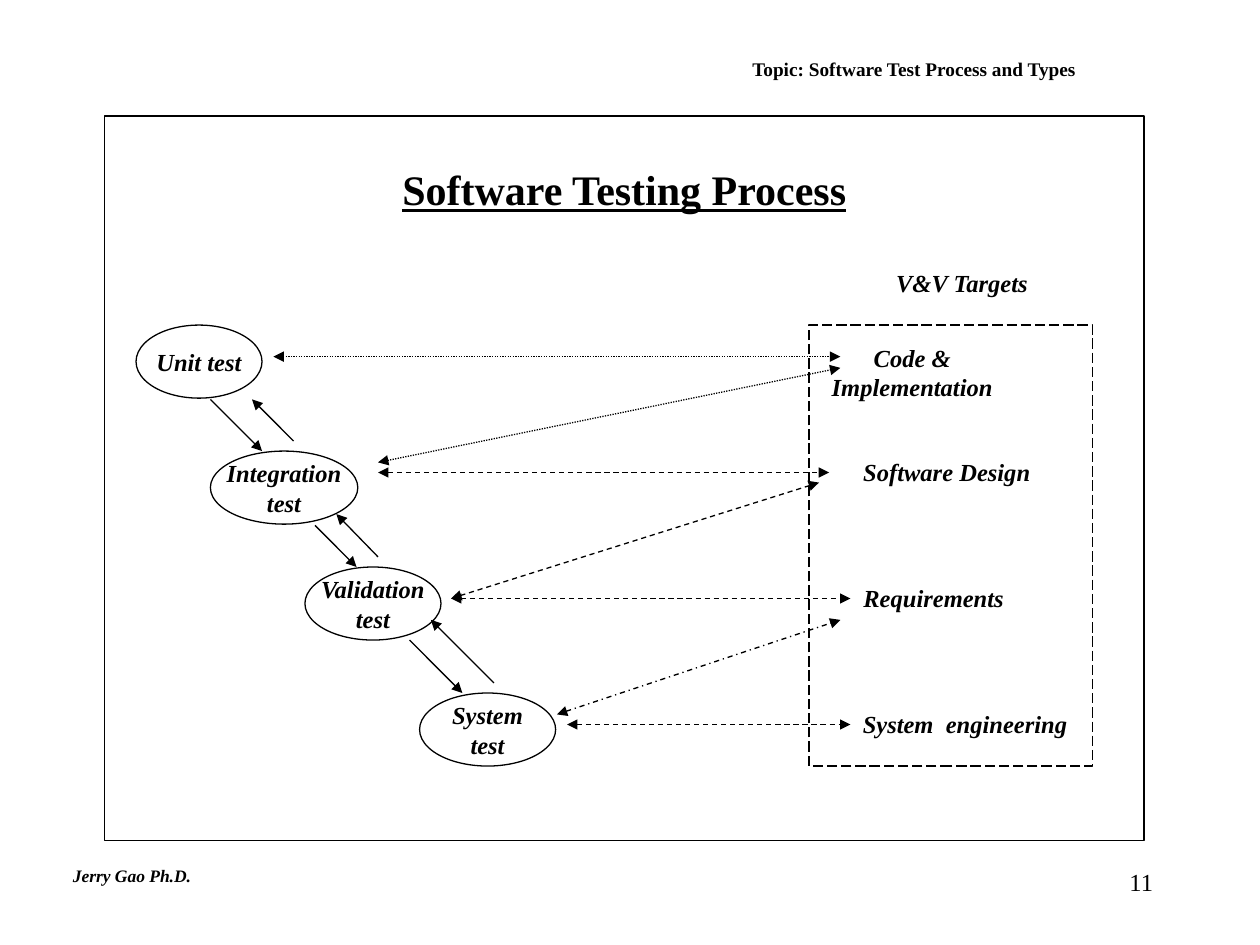
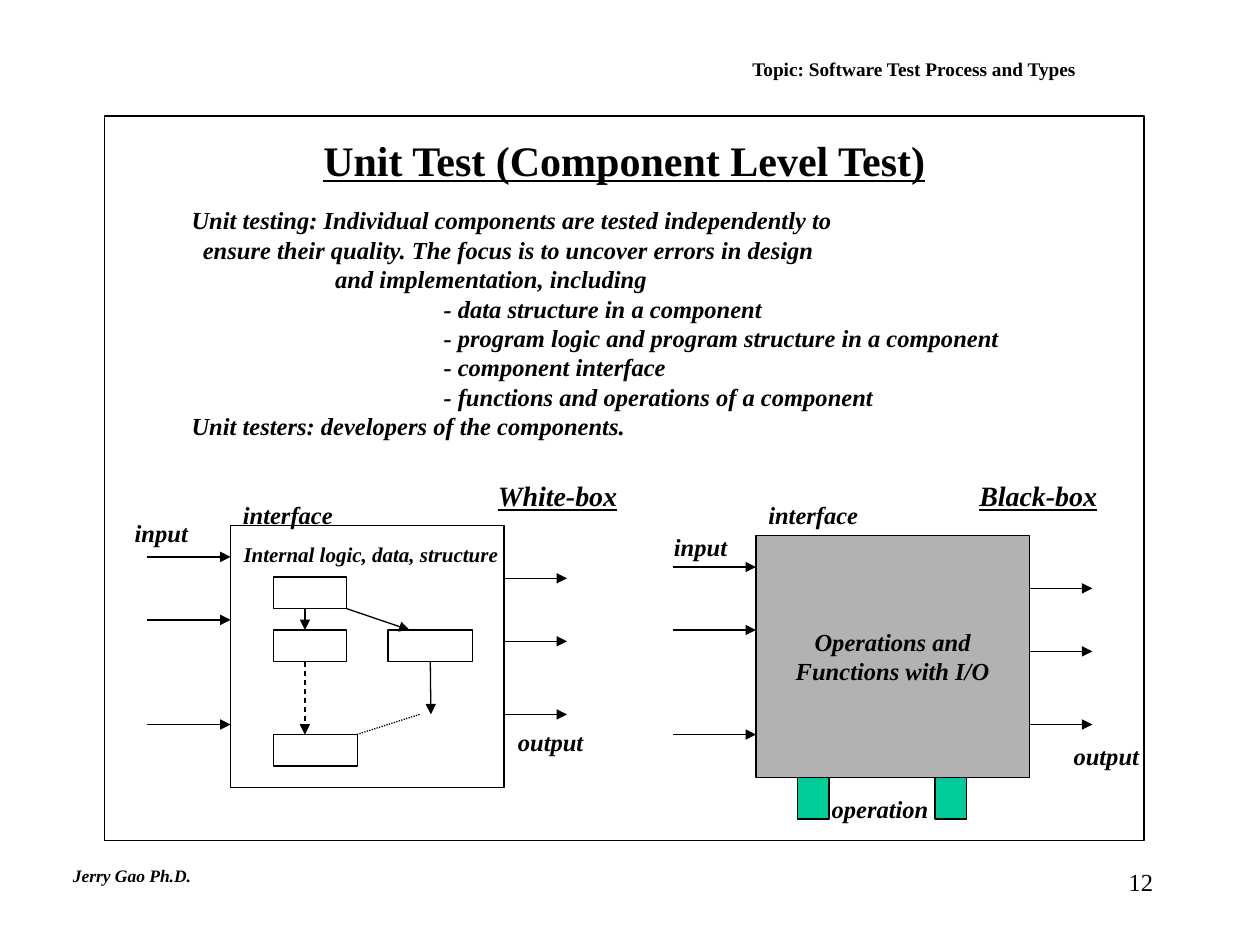
from pptx import Presentation
from pptx.dml.color import RGBColor
from pptx.enum.dml import MSO_LINE
from pptx.enum.shapes import MSO_CONNECTOR, MSO_SHAPE
from pptx.enum.text import MSO_ANCHOR, MSO_AUTO_SIZE, PP_ALIGN
from pptx.oxml.ns import qn
from pptx.util import Inches, Pt
from lxml.etree import SubElement

THEME = {
    "font": "Times New Roman",
    "line": 0.75,
    "colors": {"ink": "000000", "paper": "FFFFFF", "gray": "B2B2B2", "green": "00CC99"},
    "styles": {
        "title": {"size": Pt(24), "bold": True, "italic": False, "underline": True},
        "topic": {"size": Pt(11), "bold": True},
        "author": {"size": Pt(10), "bold": True, "italic": True},
        "number": {"size": Pt(14)},
        "label": {"size": Pt(14), "bold": True, "italic": True},
        "small": {"size": Pt(12), "bold": True, "italic": True},
        "heading": {"size": Pt(16), "bold": True, "italic": True, "underline": True},
    },
}
DASHES = {"dash": MSO_LINE.DASH, "dot": MSO_LINE.ROUND_DOT,
          "dash_dot": MSO_LINE.DASH_DOT, "long": MSO_LINE.LONG_DASH}
LEFT, CENTER, RIGHT = PP_ALIGN.LEFT, PP_ALIGN.CENTER, PP_ALIGN.RIGHT

# Shared by both slides
TOPIC = "Topic: Software Test Process and Types"
AUTHOR = "Jerry Gao Ph.D."
FRAME = (0.83, 0.92, 8.25, 5.75)

# Slide 1: boxes are left, top, width, height; arrows are start, end
STAGES = [
    ("Unit test", (1.08, 2.58, 1, 0.58)),
    ("Integration\ntest", (1.67, 3.58, 1.17, 0.58)),
    ("Validation\ntest", (2.42, 4.5, 1.08, 0.58)),
    ("System\ntest", (3.33, 5.5, 1.08, 0.58)),
]
STAGE_ARROWS = [
    ((1.67, 3.17), (2.08, 3.58)), ((2.5, 4.17), (2.83, 4.5)),
    ((3.25, 5.08), (3.67, 5.5)), ((2.33, 3.5), (2, 3.17)),
    ((3, 4.42), (2.67, 4.08)), ((3.92, 5.42), (3.42, 4.92)),
]
TARGET_AREA = (6.42, 2.58, 2.25, 3.5)
TARGETS = [
    ("V&V Targets", (7, 2.08, 1.27, 0.33)),
    ("Code &\nImplementation", (6.5, 2.67, 1.48, 0.57)),
    ("Software Design", (6.75, 3.58, 1.53, 0.33)),
    ("Requirements", (6.75, 4.58, 1.32, 0.33)),
    ("System  engineering", (6.75, 5.58, 1.82, 0.33)),
]
TARGET_ARROWS = [
    ((2.17, 2.83), (6.67, 2.83), "dot"), ((3, 3.67), (6.67, 2.92), "dot"),
    ((3, 3.75), (6.58, 3.75), "dash"), ((3.58, 4.75), (6.5, 3.83), "dash"),
    ((3.58, 4.75), (6.75, 4.75), "dash"), ((4.42, 5.67), (6.67, 4.92), "dash_dot"),
    ((4.5, 5.75), (6.75, 5.75), "dash"),
]

# Slide 2: text with its indent
BODY = [
    ("Unit testing: Individual components are tested independently to", 0),
    ("ensure their quality. The focus is to uncover errors in design", 0.09),
    ("and implementation, including", 1.14),
    ("- data structure in a component", 2),
    ("- program logic and program structure in a component", 2),
    ("- component interface", 2),
    ("- functions and operations of a component", 2),
    ("Unit testers: developers of the components.", 0),
]
WHITE_BOX = (1.83, 4.17, 2.17, 2.08)
BLACK_BOX = (6, 4.25, 2.17, 1.92)
INPUT_OFFSETS, INPUT_LENGTH = (0.25, 0.75, 1.58), 0.66
OUTPUT_OFFSETS, OUTPUT_LENGTH = (0.42, 0.92, 1.5), 0.5
LOGIC_BOXES = {
    "start": (2.17, 4.58, 0.58, 0.25),
    "left": (2.17, 5, 0.58, 0.25),
    "right": (3.08, 5, 0.67, 0.25),
    "end": (2.17, 5.83, 0.67, 0.25),
}
LOGIC_LINES = [
    ((2.42, 4.83), (2.42, 5), None, True),
    ((2.42, 5.25), (2.42, 5.83), "dash", True),
    ((2.75, 4.83), (3.25, 5), None, True),
    ((3.33, 5.67), (2.83, 5.83), "dot", False),
]
OPERATION_PORTS = [(left, 6.17, 0.25, 0.33) for left in (6.33, 7.42)]
BOX_LABELS = [
    ("White-box", (3.85, 3.75, 1.15, 0.37), "heading"),
    ("Black-box", (7.67, 3.75, 1.14, 0.37), "heading"),
    ("interface", (1.83, 3.92, 0.91, 0.33), "label"),
    ("interface", (6, 3.92, 0.91, 0.33), "label"),
    ("input", (0.97, 4.06, 0.62, 0.33), "label"),
    ("input", (5.25, 4.17, 0.62, 0.33), "label"),
    ("output", (4.01, 5.72, 0.72, 0.33), "label"),
    ("output", (8.42, 5.83, 0.72, 0.33), "label"),
    ("Internal logic, data, structure", (1.83, 4.25, 2.23, 0.3), "small"),
    ("operation", (6.5, 6.25, 0.97, 0.33), "label"),
]


def color(name):
    return RGBColor.from_string(THEME["colors"][name])


def write(shape, text, style, align=CENTER, anchor=MSO_ANCHOR.TOP, wrap=False):
    """Fill a shape with one styled paragraph per line of text."""
    tf = shape.text_frame
    tf.text = text
    tf.auto_size = MSO_AUTO_SIZE.NONE
    tf.word_wrap = wrap
    tf.vertical_anchor = anchor
    for p in tf.paragraphs:
        p.alignment = align
        p.space_before = Pt(0)
        for r in p.runs:
            r.font.name = THEME["font"]
            r.font.color.rgb = color("ink")
            for name, value in THEME["styles"][style].items():
                setattr(r.font, name, value)


def place(shape, box):
    for name, value in zip(("left", "top", "width", "height"), box):
        setattr(shape, name, Inches(value))


def add_text(slide, text, box, style="label", **layout):
    sp = slide.shapes.add_textbox(*map(Inches, box))
    write(sp, text, style, **layout)


def set_line(line, dash=None):
    line.color.rgb = color("ink")
    line.width = Pt(THEME["line"])
    if dash:
        line.dash_style = DASHES[dash]


def add_box(slide, box, fill=None, text="", kind=MSO_SHAPE.RECTANGLE, dash=None):
    sp = slide.shapes.add_shape(kind, *map(Inches, box))
    sp.shadow.inherit = False
    if fill:
        sp.fill.solid()
        sp.fill.fore_color.rgb = color(fill)
    else:
        sp.fill.background()
    set_line(sp.line, dash)
    if text:
        write(sp, text, "label", anchor=MSO_ANCHOR.MIDDLE)
    return sp


def add_line(slide, start, end, dash=None, ends=("tailEnd",)):
    cxn = slide.shapes.add_connector(MSO_CONNECTOR.STRAIGHT, *map(Inches, start + end))
    set_line(cxn.line, dash)
    ln = cxn.line._get_or_add_ln()
    for tag in ends:
        SubElement(ln, qn(f"a:{tag}"), type="triangle")
    SubElement(cxn._element.spPr, qn("a:effectLst"))
    return cxn


def add_slide(prs, layout, title, title_box, number):
    """Add a slide with the frame, topic line, footer and title."""
    slide = prs.slides.add_slide(prs.slide_layouts[layout])
    place(slide.shapes.title, title_box)
    write(slide.shapes.title, title, "title", anchor=MSO_ANCHOR.MIDDLE, wrap=True)
    add_box(slide, FRAME)
    add_text(slide, TOPIC, (5.42, 0.42, 3.67, 0.25), "topic",
             anchor=MSO_ANCHOR.MIDDLE, wrap=True)
    add_text(slide, AUTHOR, (0.48, 6.82, 1.15, 0.27), "author", align=LEFT)
    add_text(slide, str(number), (7.17, 6.83, 2.08, 0.5), "number", align=RIGHT, wrap=True)
    return slide


def add_process_slide(prs):
    slide = add_slide(prs, 5, "Software Testing Process", (2.58, 1.25, 4.75, 0.5), 11)
    for text, box in STAGES:
        add_box(slide, box, "paper", text, MSO_SHAPE.OVAL)
    for start, end in STAGE_ARROWS:
        add_line(slide, start, end)
    add_box(slide, TARGET_AREA, dash="long")
    for text, box in TARGETS:
        add_text(slide, text, box)
    for start, end, dash in TARGET_ARROWS:
        add_line(slide, start, end, dash, ("headEnd", "tailEnd"))


def add_body(slide):
    body = slide.placeholders[1]
    place(body, (1.42, 1.58, 7.33, 1.96))
    write(body, "\n".join(text for text, _ in BODY), "label", align=LEFT, wrap=True)
    for p, (_, indent) in zip(body.text_frame.paragraphs, BODY):
        pPr = p._p.get_or_add_pPr()
        pPr.set("marL", str(Inches(indent)))
        pPr.set("indent", "0")
        SubElement(pPr, qn("a:buNone"))


def add_ports(slide, box):
    """Draw the input and output arrows of a component."""
    left, top, width, _ = box
    right = left + width
    for offset in INPUT_OFFSETS:
        add_line(slide, (left - INPUT_LENGTH, top + offset), (left, top + offset))
    for offset in OUTPUT_OFFSETS:
        add_line(slide, (right, top + offset), (right + OUTPUT_LENGTH, top + offset))


def add_unit_test_slide(prs):
    slide = add_slide(prs, 1, "Unit Test (Component Level Test)",
                      (1.83, 1.08, 6.25, 0.37), 12)
    add_body(slide)
    add_box(slide, WHITE_BOX, "paper")
    add_box(slide, BLACK_BOX, "gray", "Operations and\nFunctions with I/O")
    for box in (WHITE_BOX, BLACK_BOX):
        add_ports(slide, box)
    logic = {name: add_box(slide, box, "paper") for name, box in LOGIC_BOXES.items()}
    for start, end, dash, arrow in LOGIC_LINES:
        add_line(slide, start, end, dash, ("tailEnd",) if arrow else ())
    add_line(slide, (3.42, 5.25), (3.42, 5.67)).begin_connect(logic["right"], 2)
    for box in OPERATION_PORTS:
        add_box(slide, box, "green")
    for text, box, style in BOX_LABELS:
        add_text(slide, text, box, style)


def main():
    prs = Presentation()
    prs.slide_width, prs.slide_height = Inches(10), Inches(7.5)
    add_process_slide(prs)
    add_unit_test_slide(prs)
    prs.save("out.pptx")


if __name__ == "__main__":
    main()
